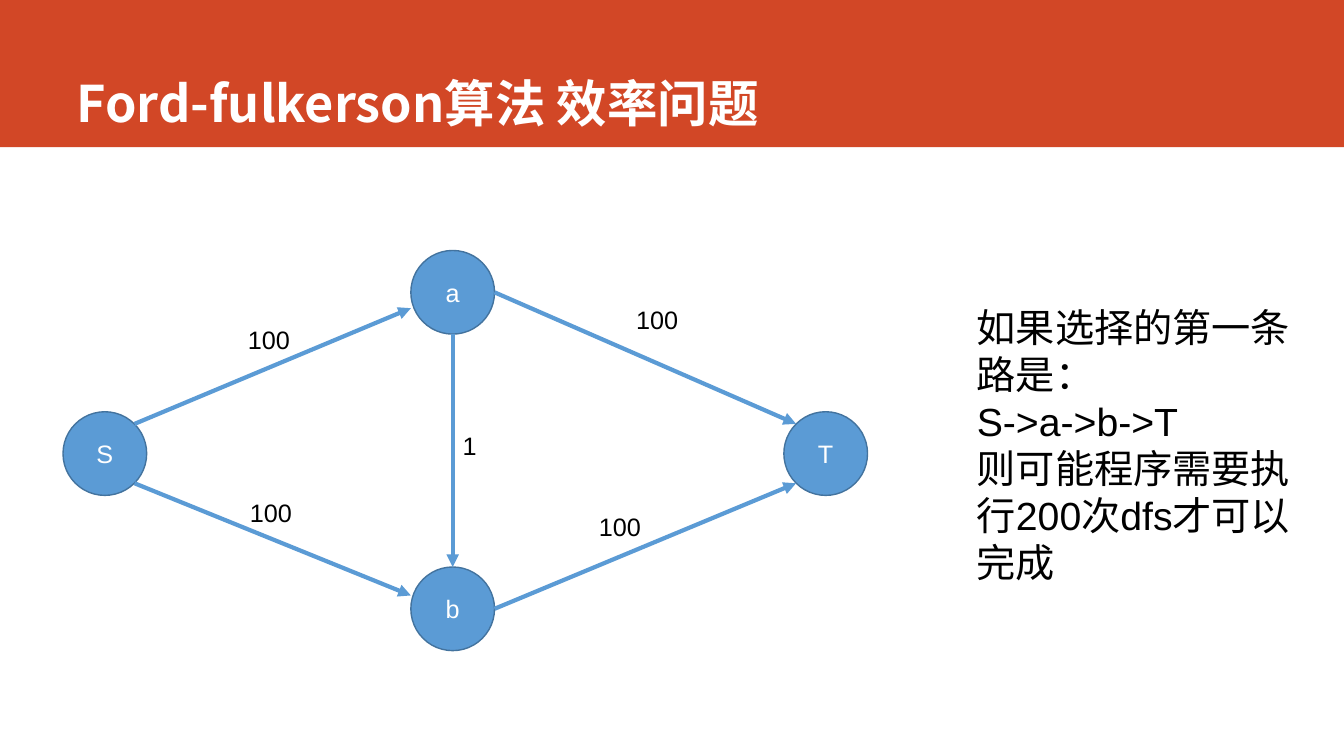
from dataclasses import dataclass

from lxml import etree
from pptx import Presentation, util as u
from pptx.dml.color import RGBColor
from pptx.enum import shapes, text
from pptx.oxml.ns import qn


@dataclass(frozen=True)
class Theme:
    """Colours, fonts and type sizes of the slide."""
    band: str = "D24726"
    node: str = "5B9BD5"
    outline: str = "43739E"
    light: str = "FFFFFF"
    dark: str = "000000"
    heading_font: str = "Noto Sans CJK SC"
    body_font: str = "Arial"
    title_size: int = 36
    note_size: int = 28
    label_size: int = 18


THEME = Theme()
WIDTH, HEIGHT = 13.33, 7.5
BAND_HEIGHT = 1.46
DIAMETER = 0.83
RADIUS = DIAMETER / 2
DIAGONAL = 0.71  # share of the radius at 45 degrees

TITLE = "Ford-fulkerson算法 效率问题"
NOTE = ["如果选择的第一条路是：", "S->a->b->T", "则可能程序需要执行200次dfs才可以完成"]
NOTE_BOX = (9.59, 2.96, 3.56, 2.93)
LABEL_SIZE = (0.89, 0.4)

# Centres of the flow network's nodes
COLUMNS = {"source": 1.04, "middle": 4.49, "sink": 8.19}
ROWS = {"top": 2.9, "centre": 4.5, "bottom": 6.04}
NODES = {
    "S": (COLUMNS["source"], ROWS["centre"]),
    "T": (COLUMNS["sink"], ROWS["centre"]),
    "a": (COLUMNS["middle"], ROWS["top"]),
    "b": (COLUMNS["middle"], ROWS["bottom"]),
}

# From, its anchor, to, its anchor (in radii), capacity, label's left and top
EDGES = [
    ("S", (DIAGONAL, -DIAGONAL), "a", (-1, 0.38), "100", (2.36, 3.17)),
    ("a", (1, 0), "T", (-DIAGONAL, -DIAGONAL), "100", (6.21, 2.97)),
    ("a", (0, 1), "b", (0, -1), "1", (4.49, 4.22)),
    ("S", (DIAGONAL, DIAGONAL), "b", (-1, -0.32), "100", (2.38, 4.88)),
    ("b", (1, 0), "T", (-DIAGONAL, DIAGONAL), "100", (5.84, 5.02)),
]


def rgb(value):
    """Turn a hex string into a colour."""
    return RGBColor.from_string(value)


def inches(*values):
    """Turn numbers into lengths."""
    return [u.Inches(value) for value in values]


def add_run(paragraph, words, size, color, font=THEME.body_font, bold=False):
    """Add one formatted run to a paragraph."""
    run = paragraph.add_run()
    run.text = words
    run.font.size, run.font.name, run.font.bold = u.Pt(size), font, bold
    run.font.color.rgb = rgb(color)
    return run


def add_title(slide):
    """Fill the title placeholder and put the coloured band behind it."""
    title = slide.shapes.title
    title.left, title.top, title.width, title.height = inches(0.66, 0, 11.76, 1.32)
    frame = title.text_frame
    frame.auto_size = text.MSO_AUTO_SIZE.NONE
    frame.vertical_anchor = text.MSO_ANCHOR.BOTTOM
    frame.margin_bottom = 0
    paragraph = frame.paragraphs[0]
    paragraph.alignment = text.PP_ALIGN.LEFT
    run = add_run(paragraph, TITLE, THEME.title_size, THEME.light,
                  THEME.heading_font, bold=True)
    east_asian = etree.SubElement(run.font._element, qn("a:ea"))
    east_asian.set("typeface", THEME.heading_font)

    band = slide.shapes.add_shape(shapes.MSO_SHAPE.RECTANGLE,
                                  *inches(0, 0, WIDTH, BAND_HEIGHT))
    band.shadow.inherit = False
    band.fill.solid()
    band.fill.fore_color.rgb = rgb(THEME.band)
    band.line.fill.background()
    title._element.addprevious(band._element)


def add_node(slide, name):
    """Draw a round node around its centre."""
    x, y = NODES[name]
    node = slide.shapes.add_shape(
        shapes.MSO_SHAPE.OVAL,
        *inches(x - RADIUS, y - RADIUS, DIAMETER, DIAMETER))
    node.shadow.inherit = False
    node.fill.solid()
    node.fill.fore_color.rgb = rgb(THEME.node)
    node.line.color.rgb = rgb(THEME.outline)
    node.line.width = u.Pt(1)
    node.text_frame.vertical_anchor = text.MSO_ANCHOR.MIDDLE
    paragraph = node.text_frame.paragraphs[0]
    paragraph.alignment = text.PP_ALIGN.CENTER
    add_run(paragraph, name, THEME.label_size, THEME.light)


def anchor_point(name, anchor):
    """Place an anchor, given in radii, on a node."""
    return [centre + RADIUS * share for centre, share in zip(NODES[name], anchor)]


def add_arrow(slide, start, end):
    """Draw a straight arrow between two points."""
    arrow = slide.shapes.add_connector(
        shapes.MSO_CONNECTOR.STRAIGHT, *inches(*start, *end))
    arrow.line.color.rgb = rgb(THEME.node)
    arrow.line.width = u.Pt(3)
    properties = arrow._element.spPr
    head = etree.SubElement(properties.find(qn("a:ln")), qn("a:tailEnd"))
    head.set("type", "triangle")
    etree.SubElement(properties, qn("a:effectLst"))


def add_text(slide, box, lines, size):
    """Add a wrapping text box with one paragraph for each line."""
    frame = slide.shapes.add_textbox(*inches(*box)).text_frame
    frame.word_wrap = True
    frame.auto_size = text.MSO_AUTO_SIZE.SHAPE_TO_FIT_TEXT
    for index, line in enumerate(lines):
        paragraph = frame.add_paragraph() if index else frame.paragraphs[0]
        add_run(paragraph, line, size, THEME.dark)


def main():
    """Build and save the slide."""
    presentation = Presentation()
    presentation.slide_width, presentation.slide_height = inches(WIDTH, HEIGHT)
    slide = presentation.slides.add_slide(presentation.slide_layouts[5])
    add_title(slide)
    for name in NODES:
        add_node(slide, name)
    for start, start_anchor, end, end_anchor, _, _ in EDGES:
        add_arrow(slide, anchor_point(start, start_anchor),
                  anchor_point(end, end_anchor))
    for *_, capacity, corner in EDGES:
        add_text(slide, (*corner, *LABEL_SIZE), [capacity], THEME.label_size)
    add_text(slide, NOTE_BOX, NOTE, THEME.note_size)
    presentation.save("out.pptx")


main()
